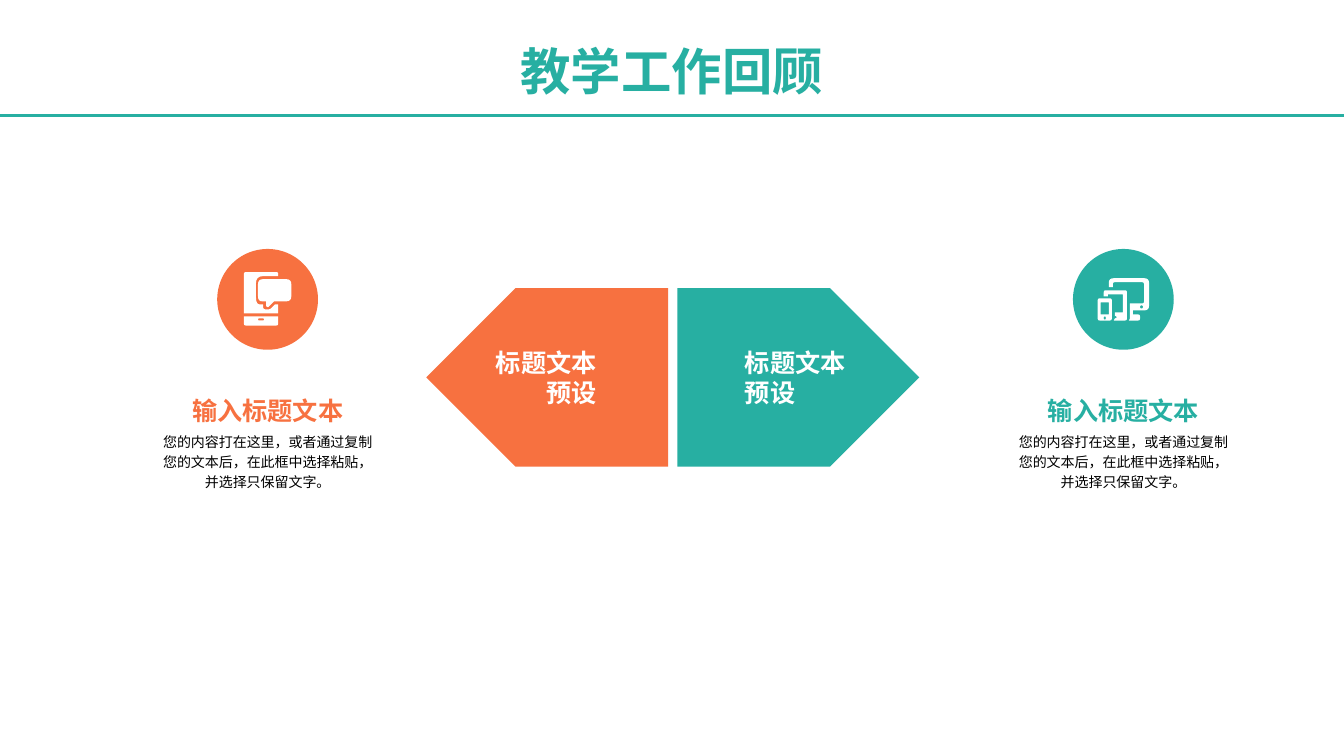
"""Build a slide that reviews teaching work in two facing halves."""
import dataclasses
import math
import typing

import lxml.etree
import pptx
import pptx.dml.color
import pptx.enum.shapes
import pptx.enum.text
import pptx.oxml.ns
import pptx.util

Pt = pptx.util.Pt
Align = pptx.enum.text.PP_ALIGN
Anchor = pptx.enum.text.MSO_ANCHOR
Kind = pptx.enum.shapes.MSO_SHAPE
qn = pptx.oxml.ns.qn
Corner = tuple[float, float, float]
Outline = list[Corner]

COLORS = {"teal": "27AFA2", "orange": "F77140", "white": "FFFFFF", "black": "000000"}
WIDTH, HEIGHT = 960, 540
CJK = "Noto Sans CJK SC"
BODY = "您的内容打在这里，或者通过复制您的文本后，在此框中选择粘贴，并选择只保留文字。"
GRID = 0.72
DISC = 72
COLUMN = 159.12


def block(left: float, top: float, right: float, base: float, bend: float = 0) -> Outline:
    """Return a rectangle whose four corners share one radius."""
    return [(left, top, bend), (right, top, bend), (right, base, bend), (left, base, bend)]


PHONE = [
    block(14, 46, 20, 48, 1),
    [(0, 44, 0), (34, 44, 0), (34, 53, 2), (0, 53, 2)],
    [(14, 7, 5), (47, 7, 5), (47, 29, 5), (30, 29, 0), (24, 35, 1),
     (22, 34, 1), (22, 29, 0), (14, 29, 5)],
    [(0, 0, 2), (34, 0, 2), (34, 4, 0), (12, 4, 7), (12, 32, 7), (19, 32, 0),
     (19, 37, 3), (26, 37, 2), (31, 32, 0), (34, 32, 0), (34, 41, 0), (0, 41, 0)],
]
SCREENS = [
    block(6, 38, 8, 41, 1),
    block(42, 27, 45, 30, 1.5),
    block(3, 24, 11, 36),
    block(0, 20, 14, 42, 2),
    [(6, 12, 2), (29, 12, 2), (29, 42, 2), (16, 42, 0), (17, 40, 0), (19, 39, 0),
     (18, 37, 0), (17, 38, 0), (17, 34, 0), (25, 34, 0), (25, 16, 0), (10, 16, 0),
     (10, 18, 0), (6, 18, 0)],
    [(11, 0, 5), (51, 0, 5), (51, 32, 5), (35, 32, 0), (35, 36, 0), (42, 36, 2),
     (42, 42, 2), (31, 42, 0), (32, 40, 0), (32, 25, 0), (46, 25, 2), (46, 4, 2),
     (15, 4, 2), (15, 9, 0), (11, 9, 0)],
]


@dataclasses.dataclass
class Style:
    """Hold the look of a piece of text."""
    size: float
    color: str
    align: Align
    bold: bool = True
    font: str = "Arial"
    space: float = 1.0


@dataclasses.dataclass
class Half:
    """Hold one side of the slide."""
    color: str
    arrow: float
    flip: bool
    inset: tuple[float, float]
    align: Align
    column: float
    icon: list[Outline]
    spot: tuple[float, float]


HALVES = [
    Half("teal", 483.84, False, (48.24, 0), Align.LEFT, 722.88, SCREENS, (784.08, 198.72)),
    Half("orange", 304.56, True, (0, 51.12), Align.RIGHT, 111.6, PHONE, (174.24, 194.4)),
]


def shade(name: str) -> pptx.dml.color.RGBColor:
    """Look up a colour by name."""
    return pptx.dml.color.RGBColor.from_string(COLORS[name])


def paint(shape: typing.Any, color: str) -> None:
    """Give a shape a flat fill, no line and no shadow."""
    shape.shadow.inherit = False
    shape.fill.solid()
    shape.fill.fore_color.rgb = shade(color)
    shape.line.fill.background()


def write(frame: typing.Any, text: str, style: Style) -> None:
    """Put styled text in a frame."""
    frame.text = text
    for line in frame.paragraphs:
        line.alignment = style.align
        line.line_spacing = style.space
        for run in line.runs:
            run.font.size = Pt(style.size)
            run.font.bold = style.bold
            run.font.name = style.font
            run.font.color.rgb = shade(style.color)
            lxml.etree.SubElement(run.font._element, qn("a:ea"), typeface=CJK)


def pad(frame: typing.Any, left: float = 0, right: float = 0) -> None:
    """Centre a frame upright and set its margins."""
    frame.vertical_anchor = Anchor.MIDDLE
    frame.margin_left, frame.margin_right = Pt(left), Pt(right)
    frame.margin_top = frame.margin_bottom = 0


def label(shapes: typing.Any, left: float, top: float, high: float,
          text: str, style: Style, wrap: bool) -> None:
    """Add one text box of a column."""
    box = shapes.add_textbox(Pt(left), Pt(top), Pt(COLUMN), Pt(high))
    pad(box.text_frame)
    box.text_frame.word_wrap = wrap
    write(box.text_frame, text, style)


def curve(outline: Outline) -> list[tuple[float, float]]:
    """Turn an outline into points with rounded corners."""
    points = []
    for i, (x, y, bend) in enumerate(outline):
        if not bend:
            points.append((x, y))
            continue
        ends = []
        for px, py, _ in (outline[i - 1], outline[(i + 1) % len(outline)]):
            part = min(bend / math.dist((x, y), (px, py)), 0.5)
            ends.append((x + (px - x) * part, y + (py - y) * part))
        (ax, ay), (bx, by) = ends
        for t in (0, 0.25, 0.5, 0.75, 1):
            a, m, b = (1 - t) ** 2, 2 * t * (1 - t), t ** 2
            points.append((a * ax + m * x + b * bx, a * ay + m * y + b * by))
    return points


def draw_icon(shapes: typing.Any, half: Half) -> None:
    """Draw the white icon of a half as one outline."""
    left, top = half.spot
    paths = [[(Pt(left + x * GRID), Pt(top + y * GRID)) for x, y in curve(part)]
             for part in half.icon]
    pen = shapes.build_freeform(*paths[0][0])
    for i, points in enumerate(paths):
        if i:
            pen.move_to(*points[0])
        pen.add_line_segments(points[1:], close=True)
    paint(pen.convert_to_shape(), "white")


def draw_arrow(shapes: typing.Any, half: Half) -> None:
    """Draw the pointed block of a half."""
    arrow = shapes.add_shape(Kind.PENTAGON, Pt(half.arrow), Pt(205.92), Pt(172.8), Pt(127.44))
    paint(arrow, half.color)
    if half.flip:
        arrow.element.spPr.xfrm.set("flipH", "1")
    pad(arrow.text_frame, *half.inset)
    arrow.text_frame.word_wrap = False
    write(arrow.text_frame, "标题文本\v预设", Style(18, "white", half.align))


def draw_column(shapes: typing.Any, half: Half) -> None:
    """Draw the disc, icon and texts of a half."""
    left = half.column + (COLUMN - DISC) / 2
    paint(shapes.add_shape(Kind.OVAL, Pt(left), Pt(177.84), Pt(DISC), Pt(DISC)), half.color)
    draw_icon(shapes, half)
    group = shapes.add_group_shape().shapes
    label(group, half.column, 303.84, 49.68, BODY,
          Style(10, "black", Align.CENTER, bold=False, space=1.2), True)
    label(group, half.column, 280.08, 25.92, "输入标题文本",
          Style(18, half.color, Align.CENTER), False)


def draw_head(shapes: typing.Any) -> None:
    """Draw the title and the rule below it."""
    rule = shapes.add_connector(pptx.enum.shapes.MSO_CONNECTOR.STRAIGHT,
                                0, Pt(82.4), Pt(WIDTH), Pt(82.4))
    rule.line.color.rgb = shade("teal")
    rule.line.width = Pt(2.25)
    lxml.etree.SubElement(rule.element.spPr, qn("a:effectLst"))
    title = shapes.add_textbox(Pt(259.2), Pt(12.24), Pt(441.36), Pt(58.32)).text_frame
    title.word_wrap = True
    title.auto_size = pptx.enum.text.MSO_AUTO_SIZE.SHAPE_TO_FIT_TEXT
    write(title, "教学工作回顾", Style(36, "teal", Align.CENTER, font=CJK, space=1.3))


def main() -> None:
    """Build and save the deck."""
    deck = pptx.Presentation()
    deck.slide_width, deck.slide_height = Pt(WIDTH), Pt(HEIGHT)
    shapes = deck.slides.add_slide(deck.slide_layouts[6]).shapes
    draw_head(shapes)
    pair = shapes.add_group_shape().shapes
    for half in HALVES:
        draw_arrow(pair, half)
        draw_column(shapes, half)
    deck.save("out.pptx")


if __name__ == "__main__":
    main()
